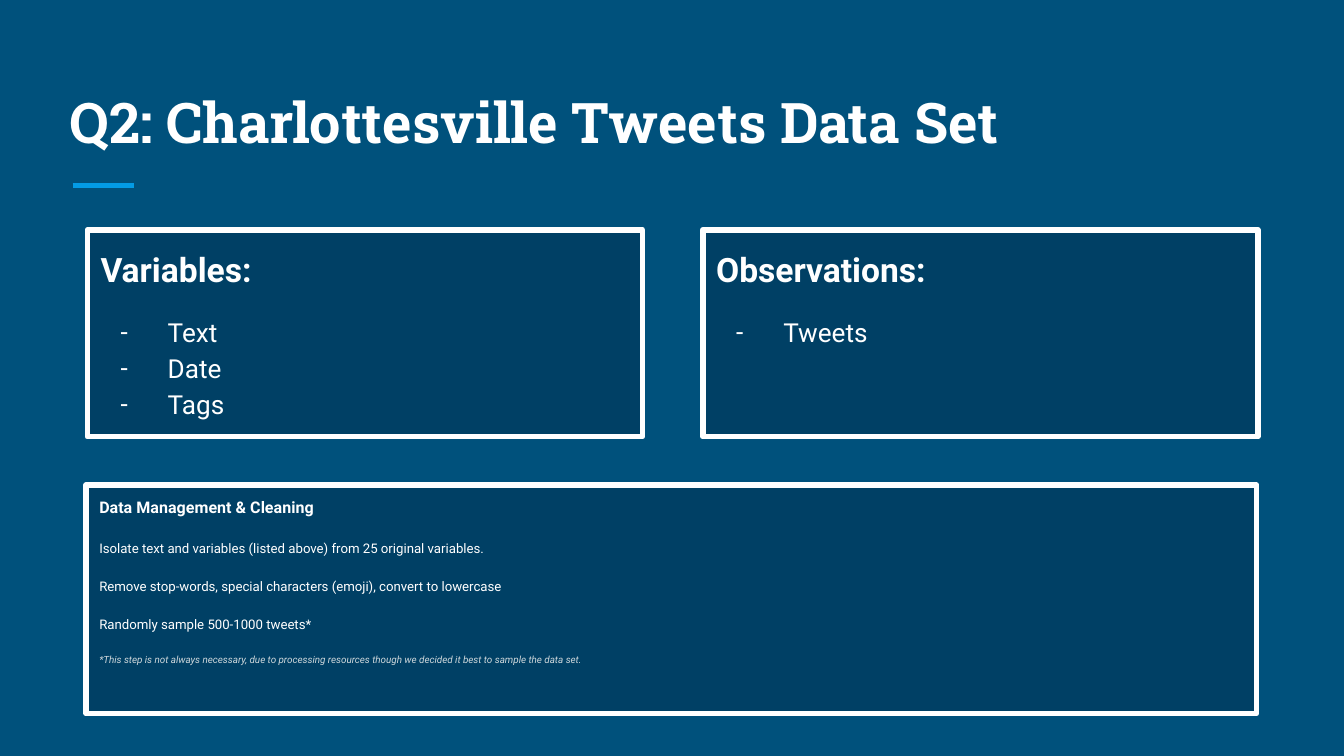
import pptx
import pptx.util
import pptx.dml.color
import pptx.enum.shapes
import pptx.enum.text
import pptx.oxml
import pptx.oxml.ns

Inches = pptx.util.Inches
Pt = pptx.util.Pt
COLORS = {
    "back": "00517C",
    "panel": "004065",
    "white": "FFFFFF",
    "accent": "039BE5",
    "note": "CFD8DC",
}


class Deck:
    def __init__(self, wide, high):
        self.show = pptx.Presentation()
        self.show.slide_width = Inches(wide)
        self.show.slide_height = Inches(high)
        self.slide = self.show.slides.add_slide(self.show.slide_layouts[6])
        self.paint(self.slide.background.fill, "back")

    def color(self, name):
        return pptx.dml.color.RGBColor.from_string(COLORS[name])

    def paint(self, fill, name):
        fill.solid()
        fill.fore_color.rgb = self.color(name)

    def frame(self, shape, anchor):
        frame = shape.text_frame
        frame.word_wrap = True
        frame.vertical_anchor = anchor
        frame.margin_left = frame.margin_right = Inches(0.1)
        frame.margin_top = frame.margin_bottom = Inches(0.1)
        return frame

    def run(self, para, text, size, bold=False, italic=False, color="white", font="Roboto"):
        run = para.add_run()
        run.text = text
        run.font.name = font
        run.font.size = Pt(size)
        run.font.bold = bold
        run.font.italic = italic
        run.font.color.rgb = self.color(color)

    def para(self, frame, space):
        first = not frame.paragraphs[0].runs
        para = frame.paragraphs[0] if first else frame.add_paragraph()
        para.alignment = pptx.enum.text.PP_ALIGN.LEFT
        para.line_spacing = space
        para.space_before = Pt(0)
        return para

    def dash(self, para):
        props = para._p.get_or_add_pPr()
        props.set("marL", str(Inches(0.5)))
        props.set("indent", str(Inches(-0.35)))
        space = pptx.oxml.ns.nsdecls("a")
        for xml in (
            f'<a:buClr {space}><a:srgbClr val="{COLORS["white"]}"/></a:buClr>',
            f'<a:buFont {space} typeface="Roboto"/>',
            f'<a:buChar {space} char="-"/>',
        ):
            props.append(pptx.oxml.parse_xml(xml))

    def title(self, text, left, top, wide, high):
        box = self.slide.shapes.add_textbox(*map(Inches, (left, top, wide, high)))
        frame = self.frame(box, pptx.enum.text.MSO_ANCHOR.BOTTOM)
        self.run(self.para(frame, 1.0), text, 30, bold=True, font="Roboto Slab")

    def rule(self, left, right, top):
        line = self.slide.shapes.add_connector(
            pptx.enum.shapes.MSO_CONNECTOR.STRAIGHT,
            Inches(left), Inches(top), Inches(right), Inches(top))
        line.line.color.rgb = self.color("accent")
        line.line.width = Pt(3)
        space = pptx.oxml.ns.nsdecls("a")
        line._element.spPr.append(pptx.oxml.parse_xml(f"<a:effectLst {space}/>"))

    def panel(self, left, top, wide, high):
        box = self.slide.shapes.add_shape(
            pptx.enum.shapes.MSO_SHAPE.RECTANGLE, *map(Inches, (left, top, wide, high)))
        box.shadow.inherit = False
        self.paint(box.fill, "panel")
        box.line.color.rgb = self.color("white")
        box.line.width = Pt(3)
        return self.frame(box, pptx.enum.text.MSO_ANCHOR.TOP)

    def listing(self, left, head, items):
        frame = self.panel(left, 1.71, 4.13, 1.54)
        self.run(self.para(frame, 1.15), head, 18, bold=True)
        for index, item in enumerate(items):
            para = self.para(frame, 1.15)
            if index == 0:
                para.space_before = Pt(12)
            self.dash(para)
            self.run(para, item, 14)

    def steps(self, head, steps, note):
        frame = self.panel(0.64, 3.61, 8.71, 1.7)
        self.run(self.para(frame, 0.95), head, 8.6, bold=True)
        for step in steps:
            para = self.para(frame, 0.95)
            para.space_before = Pt(12)
            for text, size in step:
                self.run(para, text, size)
        para = self.para(frame, 0.95)
        para.space_before = para.space_after = Pt(12)
        self.run(para, note, 5.3, italic=True, color="note")


def main():
    deck = Deck(10, 10 * 9 / 16)
    deck.rule(0.54, 1, 1.38)
    deck.title("Q2: Charlottesville Tweets Data Set", 0.42, 0.5, 9.15, 0.75)
    deck.listing(0.65, "Variables:", ["Text", "Date", "Tags"])
    deck.steps(
        "Data Management & Cleaning",
        [
            [("Isolate text and variables (listed above) from 25 original variables. ", 7.1),
             (" ", 8.6)],
            [("Remove stop-words, special characters (emoji), convert to lowercase", 7.1)],
            [("Randomly sample 500-1000 tweets*", 7.1)],
        ],
        "*This step is not always necessary, due to processing resources "
        "though we decided it best to sample the data set.",
    )
    deck.listing(5.23, "Observations:", ["Tweets"])
    deck.show.save("out.pptx")


if __name__ == "__main__":
    main()
